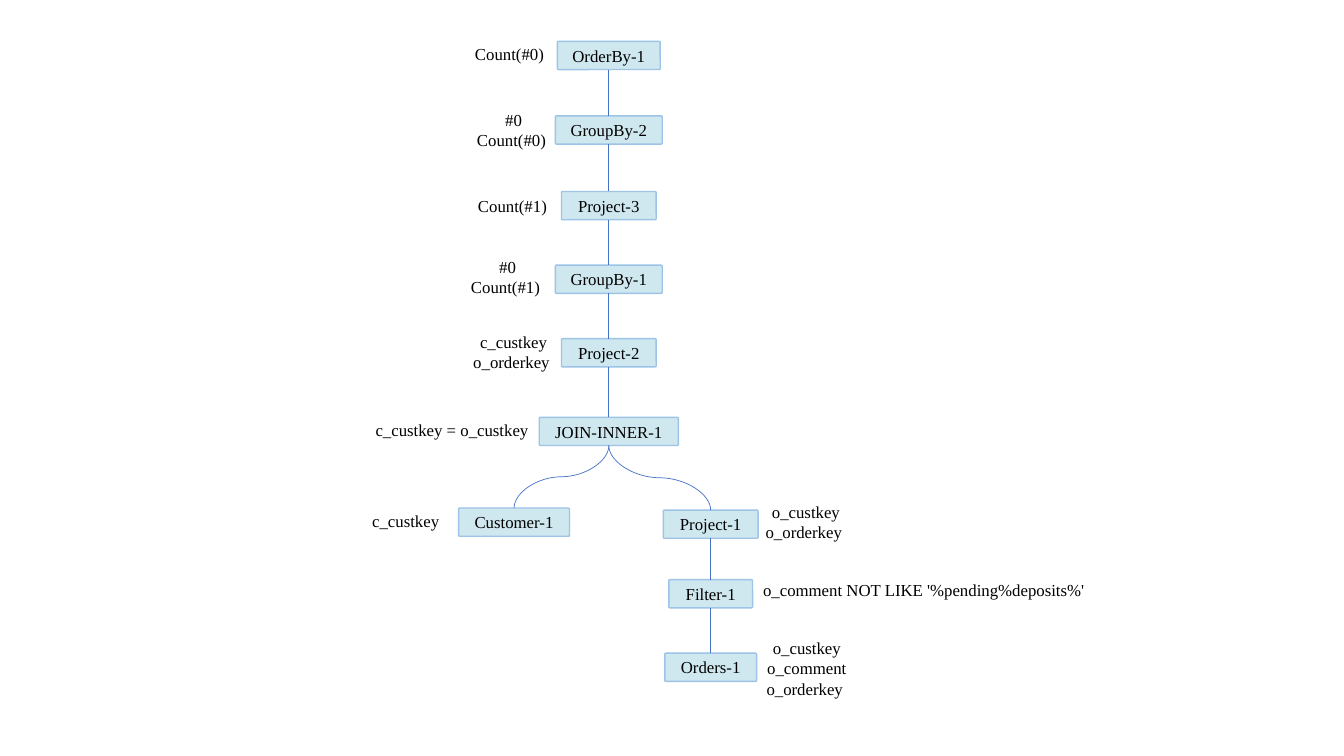
from lxml.etree import SubElement
from pptx import Presentation
from pptx.dml.color import RGBColor
from pptx.enum.shapes import MSO_CONNECTOR, MSO_SHAPE
from pptx.enum.text import MSO_ANCHOR, PP_ALIGN
from pptx.oxml.ns import qn
from pptx.util import Inches, Pt

# The slide is a grid of 100 columns by 100 rows
WIDTH, HEIGHT = Inches(13.33), Inches(7.5)
NODE_ROWS = 3.73
TOP, BOTTOM = 0, 2
MAIN, LEFT_BRANCH, RIGHT_BRANCH = 45.3, 38.25, 52.88

# Plan operators: name, centre column, top row, columns wide
NODES = [
    ("OrderBy-1", MAIN, 5.47, 7.65),
    ("GroupBy-2", MAIN, 15.33, 7.95),
    ("Project-3", MAIN, 25.33, 7.05),
    ("GroupBy-1", MAIN, 35.07, 7.95),
    ("Project-2", MAIN, 44.8, 7.05),
    ("JOIN-INNER-1", MAIN, 55.2, 10.35),
    ("Customer-1", LEFT_BRANCH, 67.2, 8.25),
    ("Project-1", RIGHT_BRANCH, 67.47, 7.05),
    ("Filter-1", RIGHT_BRANCH, 76.67, 6.23),
    ("Orders-1", RIGHT_BRANCH, 86.4, 6.83),
]

# Straight runs of operators, and the two inputs of the join
CHAINS = [
    ["OrderBy-1", "GroupBy-2", "Project-3", "GroupBy-1", "Project-2", "JOIN-INNER-1"],
    ["Project-1", "Filter-1", "Orders-1"],
]
JOIN_INPUTS = ["Customer-1", "Project-1"]

# Column labels: lines, left column, top row, columns wide
LABELS = [
    (["Count(#0) "], 34.28, 5.07, 7.58),
    (["#0", "Count(#0) "], 34.43, 13.87, 7.58),
    (["Count(#1) "], 34.5, 25.2, 7.58),
    (["#0", "Count(#1) "], 33.98, 33.33, 7.58),
    (["c_custkey", "o_orderkey "], 34.43, 43.2, 7.58),
    (["c_custkey = o_custkey "], 27.08, 54.93, 13.43),
    (["c_custkey "], 26.92, 66.93, 6.53),
    (["o_custkey", "o_orderkey "], 56.18, 65.73, 7.58),
    (["o_comment NOT LIKE '%pending%deposits%'"], 55.35, 76, 26.78),
    (["o_custkey", "o_comment", "o_orderkey "], 56.25, 83.73, 7.58),
]


def color(value):
    return RGBColor.from_string(value)


def columns(count):
    return round(WIDTH * count / 100)


def rows(count):
    return round(HEIGHT * count / 100)


def set_format(target, values):
    for name, value in values.items():
        setattr(target, name, value)


def write(frame, lines, anchor, wrap):
    set_format(frame, {"word_wrap": wrap, "vertical_anchor": anchor})
    for index, line in enumerate(lines):
        paragraph = frame.paragraphs[0] if index == 0 else frame.add_paragraph()
        paragraph.alignment = PP_ALIGN.CENTER
        run = paragraph.add_run()
        run.text = line
        set_format(run.font, {"name": "Times New Roman", "size": Pt(12)})
        run.font.color.rgb = color("000000")


def add_node(slide, name, center, top, width):
    shape = slide.shapes.add_shape(
        MSO_SHAPE.ROUNDED_RECTANGLE, columns(center - width / 2), rows(top),
        columns(width), rows(NODE_ROWS))
    shape.adjustments[0] = 0.04
    shape.shadow.inherit = False
    shape.fill.solid()
    shape.fill.fore_color.rgb = color("CFE8EF")
    shape.line.color.rgb = color("9DC3E6")
    shape.line.width = Pt(1)
    write(shape.text_frame, [name], MSO_ANCHOR.MIDDLE, False)
    return shape


def add_label(slide, lines, left, top, width):
    height = 1.33 + 2.7 * len(lines)
    box = slide.shapes.add_textbox(
        columns(left), rows(top), columns(width), rows(height))
    write(box.text_frame, lines, MSO_ANCHOR.TOP, True)


def add_link(slide, parent, child, kind=MSO_CONNECTOR.STRAIGHT):
    connector = slide.shapes.add_connector(kind, 0, 0, 0, 0)
    connector.begin_connect(parent, BOTTOM)
    connector.end_connect(child, TOP)
    connector.line.color.rgb = color("4472C4")
    connector.line.width = Pt(0.5)
    SubElement(connector._element.spPr, qn("a:effectLst"))
    return connector


def add_curve(slide, parent, child):
    """Turn the curve a quarter so that it leaves and arrives vertically."""
    connector = add_link(slide, parent, child, MSO_CONNECTOR.CURVE)
    left, top = connector.left, connector.top
    across, down = connector.width, connector.height
    goes_right = connector.end_x > connector.begin_x
    set_format(connector, {
        "left": left + (across - down) // 2,
        "top": top + (down - across) // 2,
        "width": down,
        "height": across,
    })
    frame = connector._element.spPr.xfrm
    frame.set("rot", str((270 if goes_right else 90) * 60000))
    frame.set("flipH", "1" if goes_right else "0")


def main():
    presentation = Presentation()
    set_format(presentation, {"slide_width": WIDTH, "slide_height": HEIGHT})
    slide = presentation.slides.add_slide(presentation.slide_layouts[6])

    # Operators
    nodes = {node[0]: add_node(slide, *node) for node in NODES}

    # Links
    for chain in CHAINS:
        for parent, child in zip(chain, chain[1:]):
            add_link(slide, nodes[parent], nodes[child])
    for child in JOIN_INPUTS:
        add_curve(slide, nodes["JOIN-INNER-1"], nodes[child])

    # Labels
    for label in LABELS:
        add_label(slide, *label)

    presentation.save("out.pptx")


if __name__ == "__main__":
    main()
